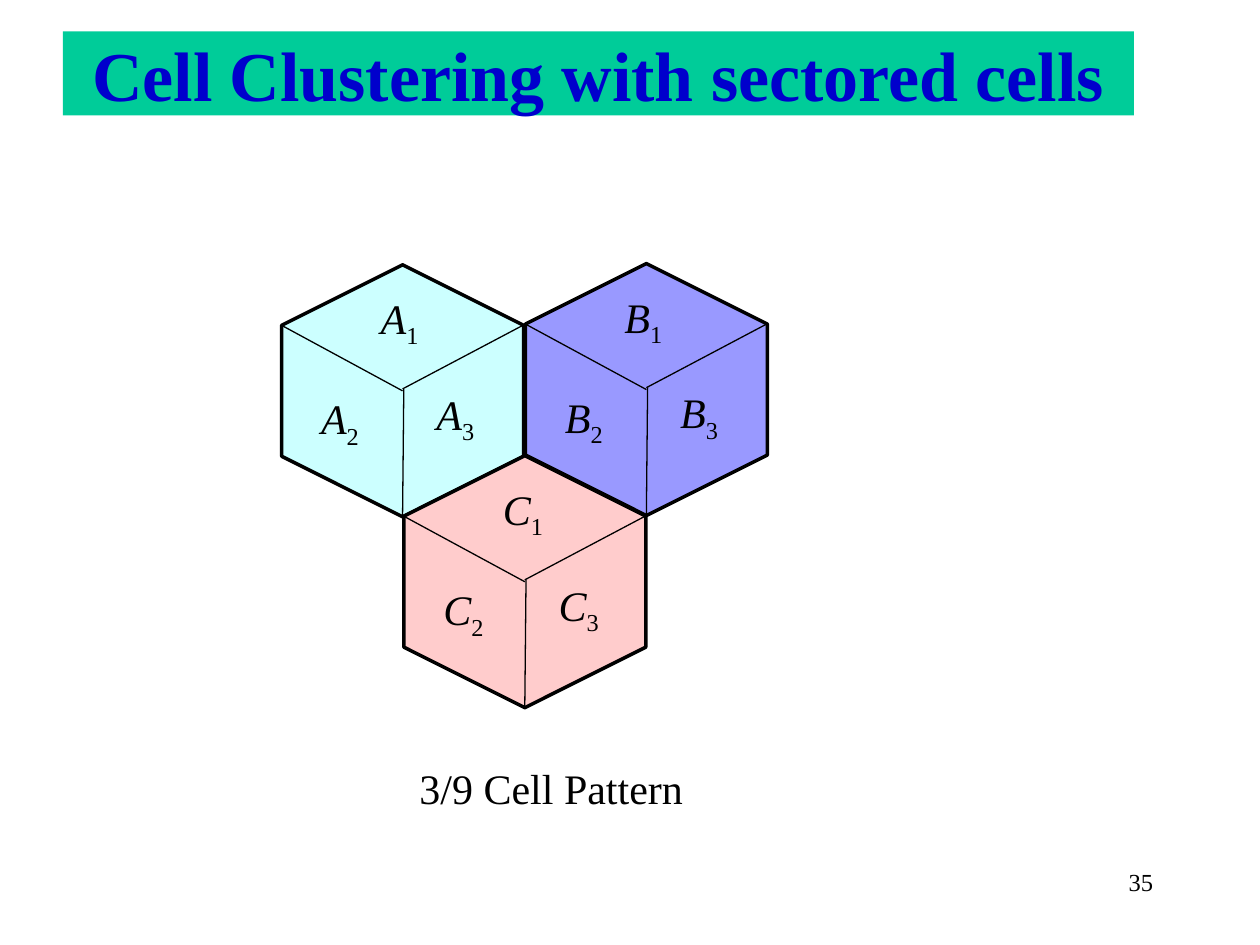
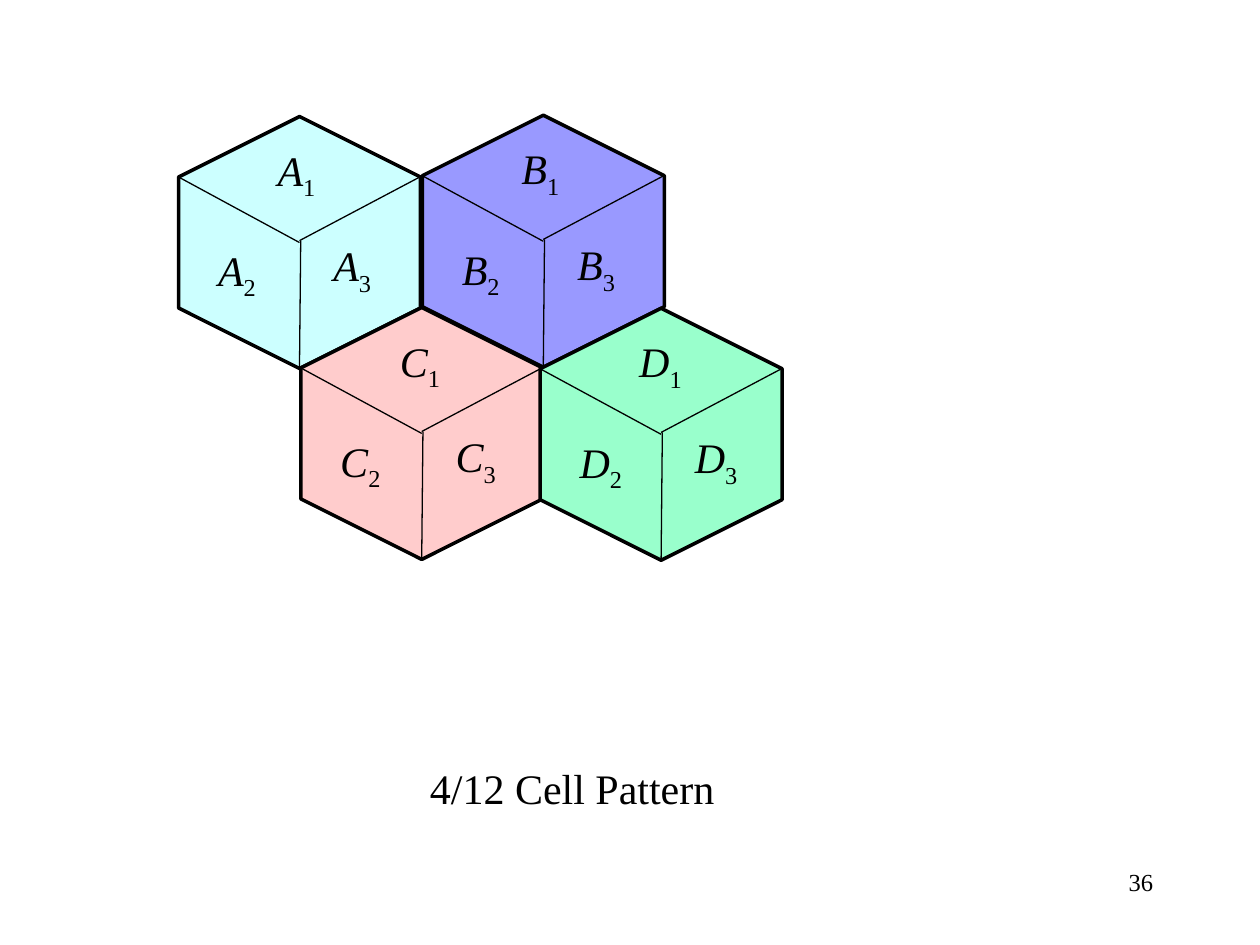
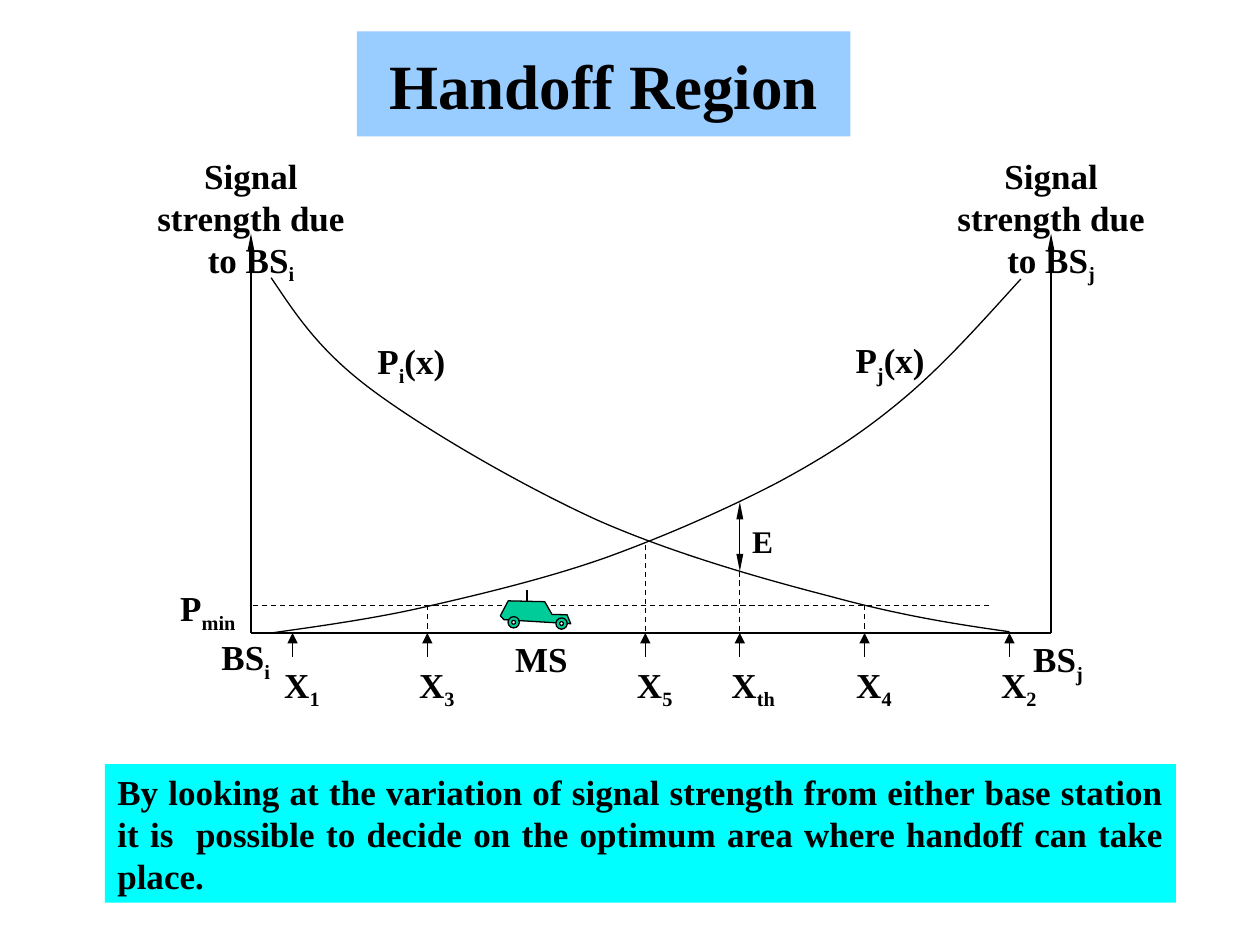
from lxml import etree
from pptx import Presentation
from pptx.dml.color import RGBColor
from pptx.enum.dml import MSO_LINE
from pptx.enum.shapes import MSO_CONNECTOR, MSO_SHAPE
from pptx.enum.text import MSO_ANCHOR, PP_ALIGN
from pptx.oxml.ns import qn
from pptx.util import Inches, Pt

LEFT, CENTER, RIGHT, JUSTIFY = PP_ALIGN.LEFT, PP_ALIGN.CENTER, PP_ALIGN.RIGHT, PP_ALIGN.JUSTIFY
TOP, MIDDLE = MSO_ANCHOR.TOP, MSO_ANCHOR.MIDDLE
RECTANGLE, HEXAGON, OVAL = MSO_SHAPE.RECTANGLE, MSO_SHAPE.HEXAGON, MSO_SHAPE.OVAL
STRAIGHT, DASH = MSO_CONNECTOR.STRAIGHT, MSO_LINE.DASH

# The slide is a grid of 100 columns by 75 rows; all lengths are in grid units.
SLIDE_WIDTH, SLIDE_HEIGHT = Inches(10), Inches(7.5)
UNIT = SLIDE_WIDTH / 100

FONT = "Times New Roman"
BLACK, WHITE, GREEN, TITLE_BLUE = "000000", "FFFFFF", "00CC99", "0000CC"
SKY, AQUA = "99CCFF", "00FFFF"
THIN, THICK = 0.75, 2
SLENDER = {"w": "sm", "len": "lg"}

# Sectored cells: letter, fill, and centre relative to the first cell
CELLS = [
    ("A", "CCFFFF", 0, 0),
    ("B", "9999FF", 19.35, -0.1),
    ("C", "FFCCCC", 9.7, 15.15),
    ("D", "99FFCC", 28.7, 15.22),
]
CELL_LENGTH, CELL_BREADTH = 20, 19.2
SECTOR_BORDERS = [((0, 0), (-9.6, -5.2)), ((9.55, -5.2), (0, -0.15)), ((0, 10), (0.1, -0.15))]
SECTOR_LABELS = [(-2.72, -8.3, 5.6, 5), (-7.45, -0.35, 5.8, 5), (1.7, -0.7, 7.5, 5)]

# Handoff plot, relative to the top of its left axis
PLOT_WIDTH, BASE, ARROW_FOOT, MINIMUM = 63.5, 31.7, 33.6, 29.5
FALLING_POWER = [
    (1.6, 3.5), (3.5, 6.3), (5.3, 9.2), (9.6, 12.4), (13.9, 15.6), (21.3, 19.9), (27.4, 22.7),
    (33.5, 25.4), (40.6, 27.4), (46, 28.8), (51.5, 30.3), (55.9, 31), (60.2, 31.6),
]
RISING_POWER = [
    (61.1, 3.6), (58.1, 6.9), (55.1, 10.3), (51.9, 13), (48.7, 15.7), (45.8, 17.6),
    (41.9, 19.7), (37.9, 21.8), (32.9, 24), (28.2, 25.7), (23.4, 27.4), (17.9, 28.7),
    (13.5, 29.7), (9.1, 30.7), (3.6, 31.4), (1.6, 31.7),
]
# Position label, column, and row where its dashed guide starts
POSITIONS = [
    ("X_1", 3.3, None), ("X_3", 14, MINIMUM), ("X_5", 31.3, 24.7),
    ("X_th", 38.8, 26.1), ("X_4", 48.7, MINIMUM), ("X_2", 60.2, None),
]
PLOT_LABELS = [
    ("BS_i", (-4.1, 31.4, 6.6, 4.3), RIGHT),
    ("BS_j", (61.1, 31.6, 6.6, 4.3), LEFT),
    ("MS", (19.3, 31.6, 7.5, 4.3), CENTER),
    ("P_min", (-6.6, 27.5, 7.4, 4.3), LEFT),
    ("P_i_(x)", (9.05, 7.95, 11, 4.3), LEFT),
    ("P_j_(x)", (47, 7.85, 10.6, 4.3), LEFT),
]
CAR_BODY = [(0, 1.2), (0.6, 0), (3.5, 0), (4.1, 1), (5.3, 1), (5.6, 1.7), (0.3, 1.5)]
CAR_WHEELS = [(0.6, 1.2), (4.4, 1.3)]
CAR_TILT = 1.3


def grid(*lengths):
    return [round(length * UNIT) for length in lengths]


def shift(origin, place):
    """Move a point or box, given relative to origin, onto the slide."""
    return (origin[0] + place[0], origin[1] + place[1], *place[2:])


def color(hex_code):
    return RGBColor.from_string(hex_code)


def style(shape, fill=None, line_width=None):
    shape.shadow.inherit = False
    if fill:
        shape.fill.solid()
        shape.fill.fore_color.rgb = color(fill)
    else:
        shape.fill.background()
    if line_width:
        shape.line.color.rgb = color(BLACK)
        shape.line.width = Pt(line_width)
    else:
        shape.line.fill.background()


def add_figure(shapes, kind, place, fill, line_width=None, rotation=0):
    figure = shapes.add_shape(kind, *grid(*place))
    figure.rotation = rotation
    style(figure, fill, line_width)
    return figure


def add_text(shapes, place, text, size, align=LEFT, bold=False, italic=False,
             fill=None, ink=BLACK, anchor=TOP, side_margin=1):
    """Add text in which every second part between underscores is a subscript."""
    if fill:
        box = add_figure(shapes, RECTANGLE, place, fill)
    else:
        box = shapes.add_textbox(*grid(*place))
    frame = box.text_frame
    frame.word_wrap = True
    frame.vertical_anchor = anchor
    frame.margin_left, frame.margin_right = grid(side_margin, 0 if align == LEFT else side_margin)
    para = frame.paragraphs[0]
    para.alignment = align
    para.font.name, para.font.size, para.font.bold = FONT, Pt(size), bold
    para.font.color.rgb = color(ink)
    for index, part in enumerate(text.split("_")):
        span = para.add_run()
        span.text = part
        if index % 2:
            span._r.get_or_add_rPr().set("baseline", "-25000")
        elif italic:
            span.font.italic = True


def add_line(shapes, start, end, dashed=False, arrows=(), head_size=None):
    """Add a thin line; arrows names its ends that carry a head."""
    line = shapes.add_connector(STRAIGHT, *grid(*start, *end))
    line.line.color.rgb = color(BLACK)
    line.line.width = Pt(THIN)
    if dashed:
        line.line.dash_style = DASH
    properties = line._element.spPr
    for arrow in arrows:
        etree.SubElement(properties.find(qn("a:ln")), qn(f"a:{arrow}"),
                         type="triangle", **(head_size or {}))
    etree.SubElement(properties, qn("a:effectLst"))


def add_outline(shapes, origin, points, closed=False, fill=None, rotation=0):
    corners = [grid(*shift(origin, point)) for point in points]
    builder = shapes.build_freeform(*corners[0])
    builder.add_line_segments(corners[1:], close=closed)
    outline = builder.convert_to_shape()
    outline.rotation = rotation
    style(outline, fill, THIN)
    return outline


def add_curve(shapes, origin, controls):
    """Add a chain of cubic Bezier curves that share their end points."""
    curve = add_outline(shapes, origin, controls)
    segments = list(curve._element.iter(qn("a:lnTo")))
    track = segments[0].getparent()
    for first in range(0, len(segments), 3):
        bend = etree.SubElement(track, qn("a:cubicBezTo"))
        for segment in segments[first:first + 3]:
            bend.append(segment[0])
            track.remove(segment)


def add_title(page, place, text, size, fill, ink):
    add_text(page.shapes, place, text, size, CENTER, bold=True, fill=fill, ink=ink, anchor=MIDDLE)


def add_cell(page, center, letter, fill):
    """Add a hexagonal cell split into three labelled sectors."""
    shapes = page.shapes.add_group_shape().shapes
    hexagon = (-CELL_LENGTH / 2, -CELL_BREADTH / 2, CELL_LENGTH, CELL_BREADTH)
    add_figure(shapes, HEXAGON, shift(center, hexagon), fill, THICK, rotation=90)
    for start, end in SECTOR_BORDERS:
        add_line(shapes, shift(center, start), shift(center, end))
    for number, place in enumerate(SECTOR_LABELS, 1):
        add_text(shapes, shift(center, place), f"{letter}_{number}", 24, italic=True, fill=fill)


def add_cluster_page(deck, first_center, cell_count, caption, caption_left, number):
    page = deck.slides.add_slide(deck.slide_layouts[6])
    add_text(page.shapes, (71.67, 68.33, 20.83, 5), number, 14, RIGHT)
    for letter, fill, column, row in CELLS[:cell_count]:
        add_cell(page, shift(first_center, (column, row)), letter, fill)
    add_text(page.shapes, (caption_left, 60, 52.5, 5), caption, 24, CENTER)
    return page


def add_car(shapes, origin):
    add_outline(shapes, origin, CAR_BODY, closed=True, fill=GREEN, rotation=CAR_TILT)
    for x, y in CAR_WHEELS:
        add_figure(shapes, OVAL, shift(origin, (x, y, 0.9, 0.9)), GREEN, THIN, CAR_TILT)
        add_figure(shapes, OVAL, shift(origin, (x + 0.3, y + 0.3, 0.3, 0.3)), WHITE, THIN, CAR_TILT)
    add_line(shapes, shift(origin, (2.1, 0)), shift(origin, (2.1, -0.9)))


def add_handoff_plot(page, origin):
    shapes = page.shapes.add_group_shape().shapes

    def line(start, end, **options):
        add_line(shapes, shift(origin, start), shift(origin, end), **options)

    def label(place, text, size=20, align=LEFT, **options):
        add_text(shapes, shift(origin, place), text, size, align, bold=True, **options)

    line((0, BASE), (PLOT_WIDTH, BASE))
    for station, column in (("i", 0), ("j", PLOT_WIDTH)):
        line((column, BASE), (column, 0), arrows=["tailEnd"], head_size=SLENDER)
        label((column - 9.9, -6.8, 19.8, 11), f"Signal strength due to BS_{station}",
              align=CENTER, side_margin=2)
    for controls in (RISING_POWER, FALLING_POWER):
        add_curve(shapes, origin, controls)
    line((58.6, MINIMUM), (0, MINIMUM), dashed=True)
    for name, column, guide_top in POSITIONS:
        line((column, ARROW_FOOT), (column, BASE), arrows=["tailEnd"])
        if guide_top:
            line((column, guide_top), (column, BASE), dashed=True)
        label((column - 1.65, ARROW_FOOT, 6.6 if name == "X_th" else 4.9, 4.3), name)
    line((38.8, 26.8), (38.8, 21.3), arrows=["headEnd", "tailEnd"], head_size=SLENDER)
    label((38.8, 22.4, 3.3, 4), "E", 18)
    for text, place, align in PLOT_LABELS:
        label(place, text, align=align)
    add_car(shapes, shift(origin, (19.8, 29.2)))


def add_handoff_page(deck):
    page = deck.slides.add_slide(deck.slide_layouts[6])
    add_title(page, (28.33, 2.5, 39.17, 8.33), "Handoff Region", 36, SKY, BLACK)
    add_handoff_plot(page, (19.92, 18.54))
    add_text(page.shapes, (8.33, 60.65, 85, 11),
             "By looking at the variation of signal strength from either base station it is  "
             "possible to decide on the optimum area where handoff can take place.",
             20, JUSTIFY, bold=True, fill=AQUA)


def main():
    deck = Presentation()
    deck.slide_width, deck.slide_height = SLIDE_WIDTH, SLIDE_HEIGHT
    page = add_cluster_page(deck, (31.95, 31.02), 3, "3/9 Cell Pattern", 17.5, "35")
    add_title(page, (5, 2.5, 85, 6.67), "Cell Clustering with sectored cells", 40, GREEN, TITLE_BLUE)
    add_cluster_page(deck, (23.77, 19.25), 4, "4/12 Cell Pattern", 19.17, "36")
    add_handoff_page(deck)
    deck.save("out.pptx")


if __name__ == "__main__":
    main()
